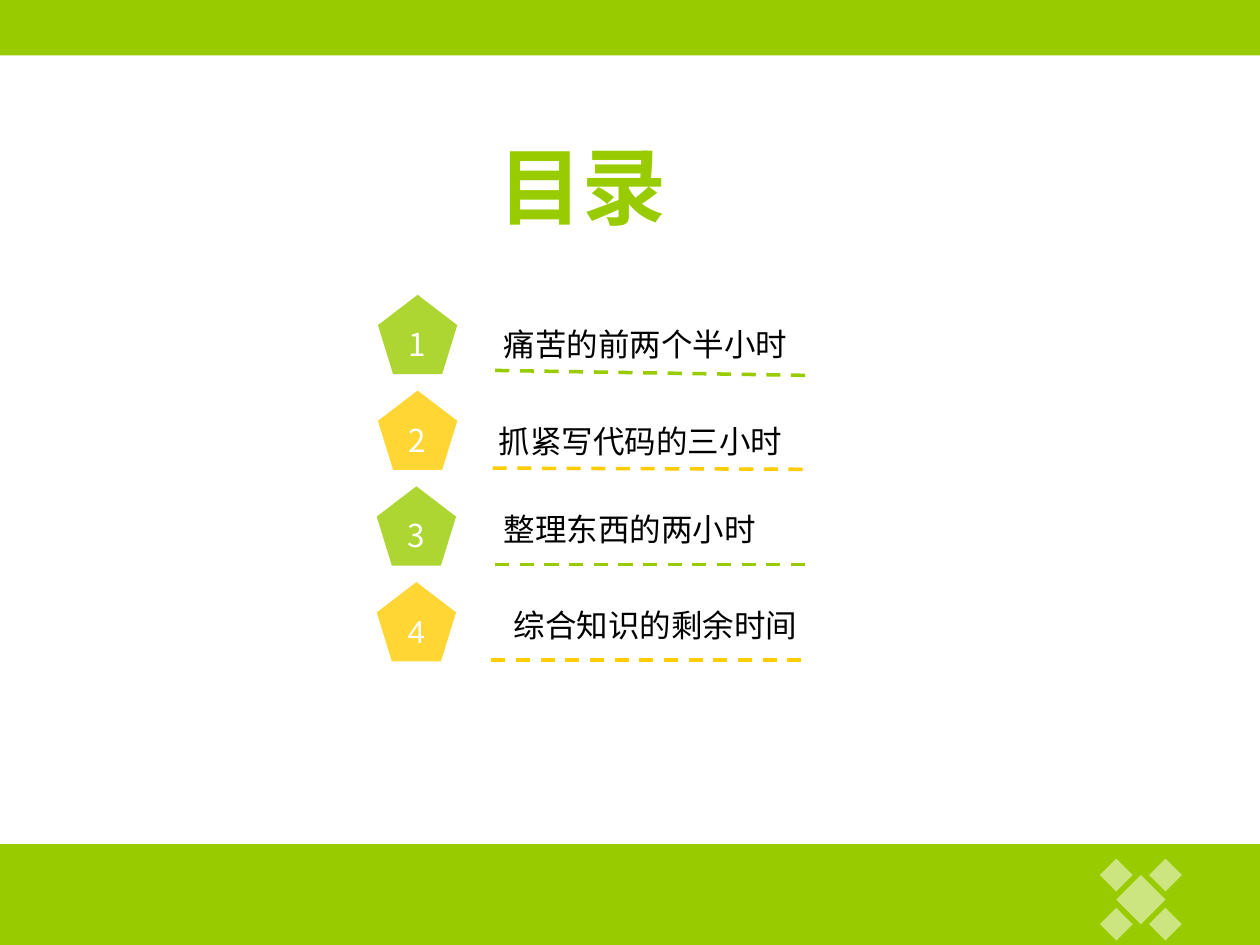
"""Build a contents slide with four numbered entries between green bands."""
import itertools
from dataclasses import dataclass

import lxml.etree
import pptx
import pptx.dml.color
import pptx.enum.dml
import pptx.enum.shapes
import pptx.enum.text
import pptx.oxml.ns
import pptx.util

COLUMNS, ROWS = 100, 75
SHAPES = pptx.enum.shapes.MSO_SHAPE
ALIGN = pptx.enum.text.PP_ALIGN
AUTO_SIZE = pptx.enum.text.MSO_AUTO_SIZE
ANCHOR = pptx.enum.text.MSO_ANCHOR


@dataclass(frozen=True)
class Theme:
    green: str = "99CC00"
    yellow: str = "FFCC00"
    white: str = "FFFFFF"
    black: str = "000000"
    latin: str = "Arial"
    chinese: str = "Noto Sans CJK SC"
    title_size: int = 48
    text_size: int = 18
    rule_width: int = 2


@dataclass(frozen=True)
class Area:
    left: float
    top: float
    width: float
    height: float


@dataclass(frozen=True)
class Entry:
    label: str
    color: str
    number_font: str
    badge_left: float
    label_left: float
    label_drop: float
    label_width: float
    rule_left: float
    rule_slope: float = 0


THEME = Theme()
BANDS = (Area(0, 0, COLUMNS, 4.4), Area(0, 67, COLUMNS, 8))
TITLE_AREA = Area(30.6, 10.2, 31.2, 9)
ENTRIES = (
    Entry("痛苦的前两个半小时", THEME.green, THEME.chinese, 30, 39, 1.9, 25.4, 39.3, 0.4),
    Entry("抓紧写代码的三小时", THEME.yellow, THEME.chinese, 30, 38.6, 2, 25.6, 39.1, 0.1),
    Entry("整理东西的两小时", THEME.green, THEME.chinese, 29.9, 39, 1.4, 22.8, 39.3),
    Entry("综合知识的剩余时间", THEME.yellow, THEME.latin, 29.9, 39.8, 1.4, 24.8, 39),
)
FIRST_ROW, ROW_PITCH = 23.4, 7.6
BADGE_SIZE, LABEL_HEIGHT = 6.3, 4
RULE_DROP, RULE_LENGTH = 6.2, 25.2
EMBLEM_X, EMBLEM_Y, EMBLEM_STEP = 90.55, 71.4, 1.95
EMBLEM_CORE, EMBLEM_CORNER = 3.9, 2.6

deck = pptx.Presentation()
deck.slide_width = pptx.util.Inches(10)
deck.slide_height = pptx.util.Inches(7.5)
slide = deck.slides.add_slide(deck.slide_layouts[5])


def across(columns: float) -> int:
    return round(deck.slide_width * columns / COLUMNS)


def down(rows: float) -> int:
    return round(deck.slide_height * rows / ROWS)


def frame_of(area: Area) -> tuple[int, int, int, int]:
    return across(area.left), down(area.top), across(area.width), down(area.height)


def rgb(color: str) -> pptx.dml.color.RGBColor:
    return pptx.dml.color.RGBColor.from_string(color)


def add_filled(kind: SHAPES, area: Area, color: str, opacity: int = 100):
    shape = slide.shapes.add_shape(kind, *frame_of(area))
    shape.shadow.inherit = False
    shape.fill.solid()
    shape.fill.fore_color.rgb = rgb(color)
    shape.line.fill.background()
    if opacity < 100:
        tint = next(shape.element.spPr.iter(pptx.oxml.ns.qn("a:srgbClr")))
        alpha = lxml.etree.SubElement(tint, pptx.oxml.ns.qn("a:alpha"))
        alpha.set("val", str(opacity * 1000))
    return shape


def write(box, text: str, color: str, size: int, font: str, align: ALIGN, bold: bool = False) -> None:
    box.text_frame.text = text
    para = box.text_frame.paragraphs[0]
    para.alignment = align
    span = para.runs[0]
    span.font.name = font
    span.font.size = pptx.util.Pt(size)
    span.font.bold = bold
    span.font.color.rgb = rgb(color)


def add_diamond(center_x: float, center_y: float, size: float) -> None:
    area = Area(center_x - size / 2, center_y - size / 2, size, size)
    add_filled(SHAPES.DIAMOND, area, THEME.white, 50)


def add_emblem() -> None:
    add_diamond(EMBLEM_X, EMBLEM_Y, EMBLEM_CORE)
    for side, level in itertools.product((-EMBLEM_STEP, EMBLEM_STEP), repeat=2):
        add_diamond(EMBLEM_X + side, EMBLEM_Y + level, EMBLEM_CORNER)


def add_title(text: str) -> None:
    title = slide.shapes.title
    title.left, title.top, title.width, title.height = frame_of(TITLE_AREA)
    title.text_frame.vertical_anchor = ANCHOR.TOP
    title.text_frame.word_wrap = True
    title.text_frame.auto_size = AUTO_SIZE.SHAPE_TO_FIT_TEXT
    write(title, text, THEME.green, THEME.title_size, THEME.latin, ALIGN.CENTER, True)


def add_rule(entry: Entry, middle: float) -> None:
    rule = slide.shapes.add_connector(
        pptx.enum.shapes.MSO_CONNECTOR.STRAIGHT,
        across(entry.rule_left),
        down(middle - entry.rule_slope / 2),
        across(entry.rule_left + RULE_LENGTH),
        down(middle + entry.rule_slope / 2),
    )
    rule.line.color.rgb = rgb(entry.color)
    rule.line.width = pptx.util.Pt(THEME.rule_width)
    rule.line.dash_style = pptx.enum.dml.MSO_LINE.DASH
    lxml.etree.SubElement(rule.element.spPr, pptx.oxml.ns.qn("a:effectLst"))


def add_entry(number: int, entry: Entry) -> None:
    top = FIRST_ROW + (number - 1) * ROW_PITCH
    badge_area = Area(entry.badge_left, top, BADGE_SIZE, BADGE_SIZE)
    badge = add_filled(SHAPES.REGULAR_PENTAGON, badge_area, entry.color, 80)
    badge.text_frame.word_wrap = False
    badge.text_frame.vertical_anchor = ANCHOR.MIDDLE
    write(badge, str(number), THEME.white, THEME.text_size, entry.number_font, ALIGN.CENTER)
    add_rule(entry, top + RULE_DROP)
    label_area = Area(entry.label_left, top + entry.label_drop, entry.label_width, LABEL_HEIGHT)
    label = slide.shapes.add_textbox(*frame_of(label_area))
    label.text_frame.word_wrap = True
    label.text_frame.auto_size = AUTO_SIZE.SHAPE_TO_FIT_TEXT
    write(label, entry.label, THEME.black, THEME.text_size, THEME.latin, ALIGN.LEFT)


def main() -> None:
    for band in BANDS:
        add_filled(SHAPES.RECTANGLE, band, THEME.green)
    add_emblem()
    add_title("目录")
    for number, entry in enumerate(ENTRIES, start=1):
        add_entry(number, entry)
    deck.save("out.pptx")


if __name__ == "__main__":
    main()
